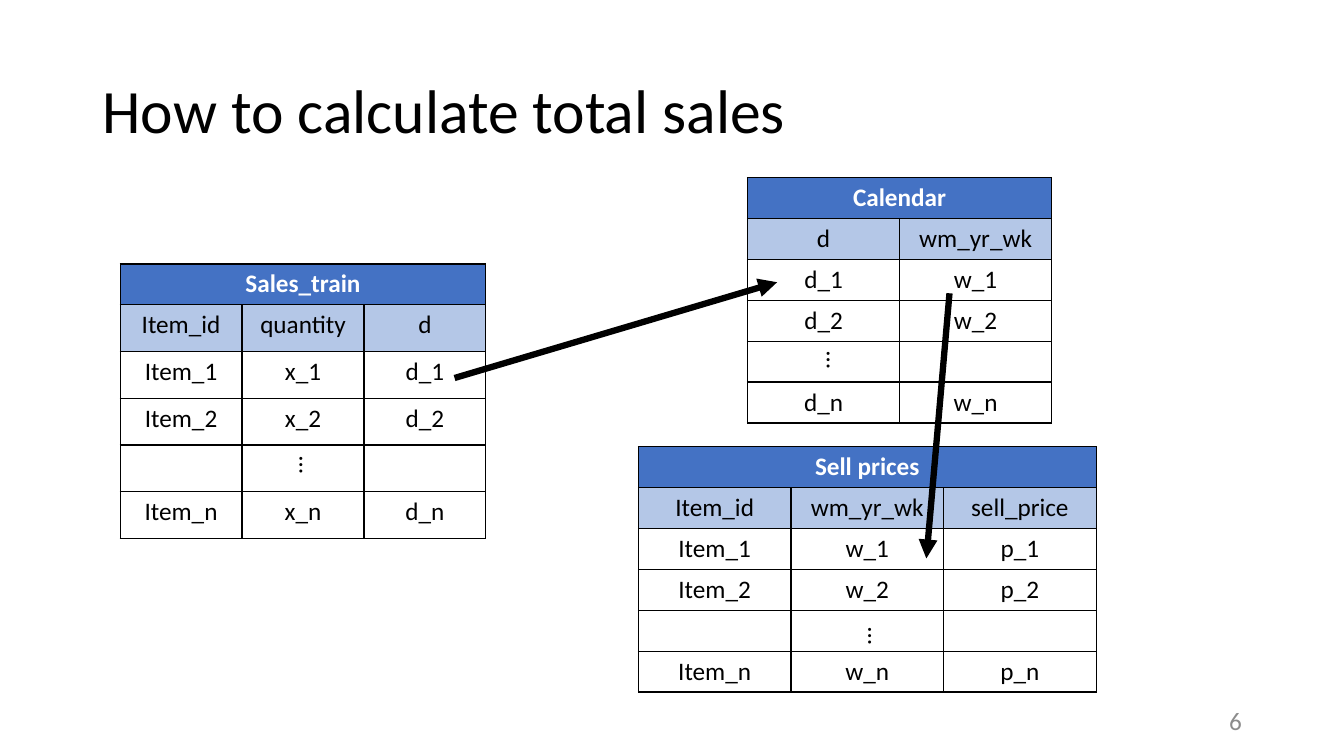
from dataclasses import dataclass

import pptx
import pptx.dml.color
import pptx.enum.shapes
import pptx.enum.text
import pptx.oxml
import pptx.oxml.ns
import pptx.util
from lxml import etree

Pt = pptx.util.Pt
ALIGN = pptx.enum.text.PP_ALIGN
ANCHOR = pptx.enum.text.MSO_ANCHOR
HEADER_HEIGHT = 29.2
BLACK, WHITE, GRAY = "000000", "FFFFFF", "8C8C8C"
HEADER_BLUE, COLUMN_BLUE = "4472C4", "B4C7E7"


@dataclass
class DataTable:
    title: str
    left: float
    top: float
    column_width: float
    row_height: float
    columns: list[str]
    prefixes: list[str]


@dataclass
class Label:
    text: str
    left: float
    top: float
    width: float
    height: float
    size: float = 18
    color: str = BLACK
    alignment: ALIGN = ALIGN.LEFT
    anchor: ANCHOR = ANCHOR.MIDDLE
    line_spacing: float = 1.0
    rotation: float = 0


@dataclass
class Arrow:
    start: tuple[float, float]
    end: tuple[float, float]


TABLES = [
    DataTable("Calendar", 534, 126.9, 108.6, 29.2, ["d", "wm_yr_wk"], ["d", "w"]),
    DataTable("Sales_train", 85.8, 188.5, 87.1, 33.4,
              ["Item_id", "quantity", "d"], ["Item", "x", "d"]),
    DataTable("Sell prices", 456, 319.1, 109, 29.2,
              ["Item_id", "wm_yr_wk", "sell_price"], ["Item", "w", "p"]),
]
LABELS = [
    Label("How to calculate total sales", 66.24, 28.8, 828, 104.4, size=44, line_spacing=0.9),
    Label("6", 678.24, 500.4, 216, 28.8, color=GRAY, alignment=ALIGN.RIGHT),
] + [
    Label("…", left, top, 53.3, 29.1, anchor=ANCHOR.TOP, rotation=90)
    for left, top in [(194.4, 331.2), (571, 256.3), (600.5, 452.9)]
]
ARROWS = [
    Arrow((324.7, 270), (555.1, 201.6)),
    Arrow((678.24, 209.5), (661.7, 398.9)),
]


def rgb(color: str) -> pptx.dml.color.RGBColor:
    return pptx.dml.color.RGBColor.from_string(color)


def set_attributes(target, values: dict) -> None:
    for name, value in values.items():
        setattr(target, name, value)


def format_text(paragraph, text: str, size: float, color: str,
                alignment: ALIGN, bold: bool = False) -> None:
    paragraph.text = text
    paragraph.alignment = alignment
    # Empty cells still need the size, so that their rows keep their height
    fonts = [paragraph.font] + [run.font for run in paragraph.runs]
    if not text:
        paragraph._p.get_or_add_endParaRPr().set("sz", str(size * 100))
    for font in fonts:
        set_attributes(font, {"name": "Calibri", "size": Pt(size), "bold": bold})
        font.color.rgb = rgb(color)


def add_borders(cell) -> None:
    properties = cell._tc.get_or_add_tcPr()
    for side in ("lnL", "lnR", "lnT", "lnB"):
        properties.append(pptx.oxml.parse_xml(
            f'<a:{side} {pptx.oxml.ns.nsdecls("a")} w="12700"><a:solidFill>'
            f'<a:srgbClr val="{BLACK}"/></a:solidFill></a:{side}>'))


def add_data_table(slide, data: DataTable) -> None:
    body = [[f"{prefix}_{suffix}" for prefix in data.prefixes] for suffix in ("1", "2", "n")]
    column_count = len(data.columns)
    blank = [""] * column_count
    rows = [[data.title] + blank[1:], data.columns, *body[:2], blank, body[2]]
    heights = [HEADER_HEIGHT] + [data.row_height] * (len(rows) - 1)
    table = slide.shapes.add_table(
        len(rows), column_count, Pt(data.left), Pt(data.top),
        Pt(data.column_width * column_count), Pt(sum(heights))).table
    set_attributes(table, {"first_row": False, "horz_banding": False})
    for column in table.columns:
        column.width = Pt(data.column_width)
    for row, height in zip(table.rows, heights):
        row.height = Pt(height)

    fills = {0: HEADER_BLUE, 1: COLUMN_BLUE}
    for row_index, texts in enumerate(rows):
        for column_index, text in enumerate(texts):
            cell = table.cell(row_index, column_index)
            is_title = row_index == 0
            format_text(cell.text_frame.paragraphs[0], text, 18,
                        WHITE if is_title else BLACK, ALIGN.CENTER, is_title)
            add_borders(cell)
            if row_index in fills:
                cell.fill.solid()
                cell.fill.fore_color.rgb = rgb(fills[row_index])
            else:
                cell.fill.background()
    table.cell(0, 0).merge(table.cell(0, column_count - 1))


def add_label(slide, label: Label) -> None:
    shape = slide.shapes.add_textbox(
        Pt(label.left), Pt(label.top), Pt(label.width), Pt(label.height))
    shape.rotation = label.rotation
    set_attributes(shape.text_frame, {"word_wrap": True, "vertical_anchor": label.anchor})
    paragraph = shape.text_frame.paragraphs[0]
    paragraph.line_spacing = label.line_spacing
    format_text(paragraph, label.text, label.size, label.color, label.alignment)


def add_arrow(slide, arrow: Arrow) -> None:
    connector = slide.shapes.add_connector(
        pptx.enum.shapes.MSO_CONNECTOR.STRAIGHT,
        *(Pt(value) for value in arrow.start + arrow.end))
    connector.line.width = Pt(4.5)
    connector.line.color.rgb = rgb(BLACK)
    qualified = pptx.oxml.ns.qn
    etree.SubElement(connector.line._get_or_add_ln(), qualified("a:tailEnd"), type="triangle")
    etree.SubElement(connector._element.spPr, qualified("a:effectLst"))


def main() -> None:
    presentation = pptx.Presentation()
    set_attributes(presentation, {"slide_width": Pt(960), "slide_height": Pt(540)})
    slide = presentation.slides.add_slide(presentation.slide_layouts[6])

    # Tables first, then the texts and arrows that lie over them
    for data in TABLES:
        add_data_table(slide, data)
    for label in LABELS:
        add_label(slide, label)
    for arrow in ARROWS:
        add_arrow(slide, arrow)
    presentation.save("out.pptx")


if __name__ == "__main__":
    main()
